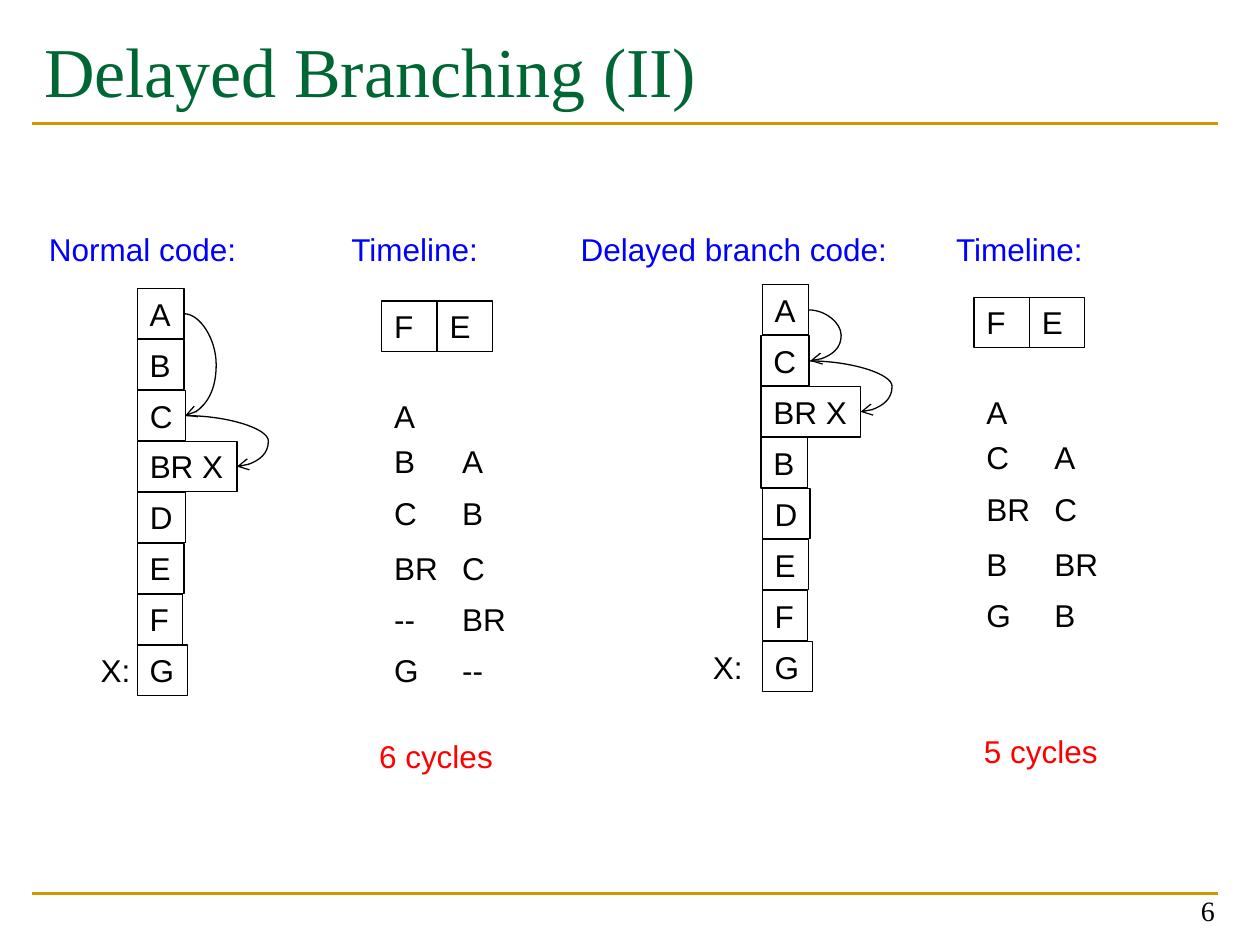
import dataclasses
from typing import Optional

import lxml.etree
import pptx
import pptx.dml.color
import pptx.enum.shapes
import pptx.enum.text
import pptx.oxml.ns
import pptx.util

Inches = pptx.util.Inches
Pt = pptx.util.Pt
RGBColor = pptx.dml.color.RGBColor
Align = pptx.enum.text.PP_ALIGN
Anchor = pptx.enum.text.MSO_ANCHOR
Fit = pptx.enum.text.MSO_AUTO_SIZE
Link = pptx.enum.shapes.MSO_CONNECTOR
qn = pptx.oxml.ns.qn

GOLD = RGBColor(0xCC, 0x99, 0x00)
GREEN = RGBColor(0x00, 0x66, 0x33)
BLUE = RGBColor(0x00, 0x00, 0xFF)
RED = RGBColor(0xFF, 0x00, 0x00)
BLACK = RGBColor(0x00, 0x00, 0x00)
WHITE = RGBColor(0xFF, 0xFF, 0xFF)

SANS = "Arial"
SERIF = "Times New Roman"
HIGH = 0.4
STEP = 2.83 / 7
SLOT = 0.44
BULGE = 0.25
WIDTHS = {"C": 0.38, "D": 0.38, "F": 0.36, "G": 0.4, "BR": 0.55, "BR X": 0.79, "X:": 0.44}
ROWS = (0.81, 1.17, 1.58, 2.02, 2.42, 2.83)


@dataclasses.dataclass
class Label:
    text: str
    left: float
    top: float
    width: float


@dataclasses.dataclass
class Arc:
    start: float
    end: float
    first: int
    last: int


@dataclasses.dataclass
class Side:
    top: float
    left: float
    code: list[str]
    shifted: tuple[str, ...]
    target: float
    stages: float
    fetch: list[str]
    heads: list[Label]
    total: Label
    arcs: list[Arc]


SIDES = [
    Side(2.29, 1.09, ["A", "B", "C", "BR X", "D", "E", "F", "G"], (), 0.7,
         3.03, ["A", "B", "C", "BR", "--", "G"],
         [Label("Normal code:", 0.29, 1.78, 1.7), Label("Timeline:", 2.69, 1.78, 1.22)],
         Label("6 cycles", 2.91, 5.8, 1.11),
         [Arc(1.46, 1.47, 0, 2), Arc(1.47, 1.88, 2, 3)]),
    Side(2.26, 6.05, ["A", "C", "BR X", "B", "D", "E", "F", "G"], ("C", "BR X", "B"), 5.56,
         7.73, ["A", "C", "BR", "B", "G"],
         [Label("Delayed branch code:", 4.51, 1.78, 2.66), Label("Timeline:", 7.49, 1.78, 1.22)],
         Label("5 cycles", 7.71, 5.76, 1.11),
         [Arc(6.42, 6.43, 0, 1), Arc(6.42, 6.83, 1, 2)]),
]


def style(frame, size: float, font: str, color: RGBColor, align=Align.LEFT) -> None:
    for para in frame.paragraphs:
        para.alignment = align
        for run in para.runs:
            run.font.size = Pt(size)
            run.font.name = font
            run.font.color.rgb = color


def write(slide, label: Label, color: RGBColor = BLACK) -> None:
    box = slide.shapes.add_textbox(Inches(label.left), Inches(label.top),
                                   Inches(label.width), Inches(HIGH))
    frame = box.text_frame
    frame.text = label.text
    frame.word_wrap = False
    frame.auto_size = Fit.SHAPE_TO_FIT_TEXT
    style(frame, 18, SANS, color)


def frame_box(slide, label: Label, fill: Optional[RGBColor] = None) -> None:
    box = slide.shapes.add_shape(pptx.enum.shapes.MSO_SHAPE.RECTANGLE,
                                 Inches(label.left), Inches(label.top),
                                 Inches(label.width), Inches(HIGH))
    box.shadow.inherit = False
    box.line.color.rgb = BLACK
    box.line.width = Pt(0.75)
    frame = box.text_frame
    frame.text = label.text
    frame.vertical_anchor = Anchor.TOP
    if fill is None:
        box.fill.background()
        frame.word_wrap = False
        frame.auto_size = Fit.SHAPE_TO_FIT_TEXT
    else:
        box.fill.solid()
        box.fill.fore_color.rgb = fill
        frame.word_wrap = True
    style(frame, 18, SANS, BLACK)


def join(slide, kind, start: tuple[float, float], end: tuple[float, float],
         color: RGBColor, width: float):
    line = slide.shapes.add_connector(kind, Inches(start[0]), Inches(start[1]),
                                      Inches(end[0]), Inches(end[1]))
    line.line.color.rgb = color
    line.line.width = Pt(width)
    lxml.etree.SubElement(line._element.spPr, qn("a:effectLst"))
    return line


def bend(slide, arc: Arc, top: float) -> None:
    start, end = ((x, top + row * STEP + HIGH / 2)
                  for x, row in ((arc.start, arc.first), (arc.end, arc.last)))
    line = join(slide, Link.CURVE, start, end, BLACK, 0.75)
    ratio = (arc.end + BULGE - arc.start) / (arc.end - arc.start)
    props = line._element.spPr
    guides = props.find(qn("a:prstGeom")).get_or_add_avLst()
    lxml.etree.SubElement(guides, qn("a:gd"), name="adj1", fmla=f"val {round(ratio * 100000)}")
    lxml.etree.SubElement(props.find(qn("a:ln")), qn("a:tailEnd"), type="arrow")


def draw(slide, side: Side) -> None:
    for row, text in enumerate(side.code):
        left = side.left - (0.01 if text in side.shifted else 0)
        frame_box(slide, Label(text, left, side.top + row * STEP, WIDTHS.get(text, 0.37)))
    write(slide, Label("X:", side.target, side.top + 7 * STEP, WIDTHS["X:"]))
    for arc in side.arcs:
        bend(slide, arc, side.top)
    for col, text in enumerate("FE"):
        frame_box(slide, Label(text, side.stages + col * SLOT, side.top + 0.1, SLOT), WHITE)
    for col, items in enumerate((side.fetch, [""] + side.fetch[:-1])):
        for row, text in zip(ROWS, items):
            if text:
                write(slide, Label(text, side.stages + col * 0.54, side.top + row,
                                   WIDTHS.get(text, 0.37)))
    for head in side.heads:
        write(slide, head, BLUE)
    write(slide, side.total, RED)


def main() -> None:
    deck = pptx.Presentation()
    deck.slide_width, deck.slide_height = Inches(10), Inches(7.5)
    slide = deck.slides.add_slide(deck.slide_layouts[5])
    for y in (7.09, 0.98):
        join(slide, Link.STRAIGHT, (0.25, y), (9.67, y), GOLD, 1.5)

    title = slide.shapes.title
    title.left, title.top = Inches(0.25), Inches(0.17)
    title.width, title.height = Inches(9.42), Inches(1.17)
    title.text_frame.text = "Delayed Branching (II)"
    title.text_frame.vertical_anchor = Anchor.TOP
    style(title.text_frame, 40, SERIF, GREEN)

    page = slide.shapes.add_textbox(Inches(7.41), Inches(6.91), Inches(2.33), Inches(0.5))
    page.text_frame.text = "6"
    page.text_frame.word_wrap = True
    page.text_frame.vertical_anchor = Anchor.BOTTOM
    style(page.text_frame, 16, SERIF, BLACK, Align.RIGHT)

    for side in SIDES:
        draw(slide, side)
    deck.save("out.pptx")


if __name__ == "__main__":
    main()
